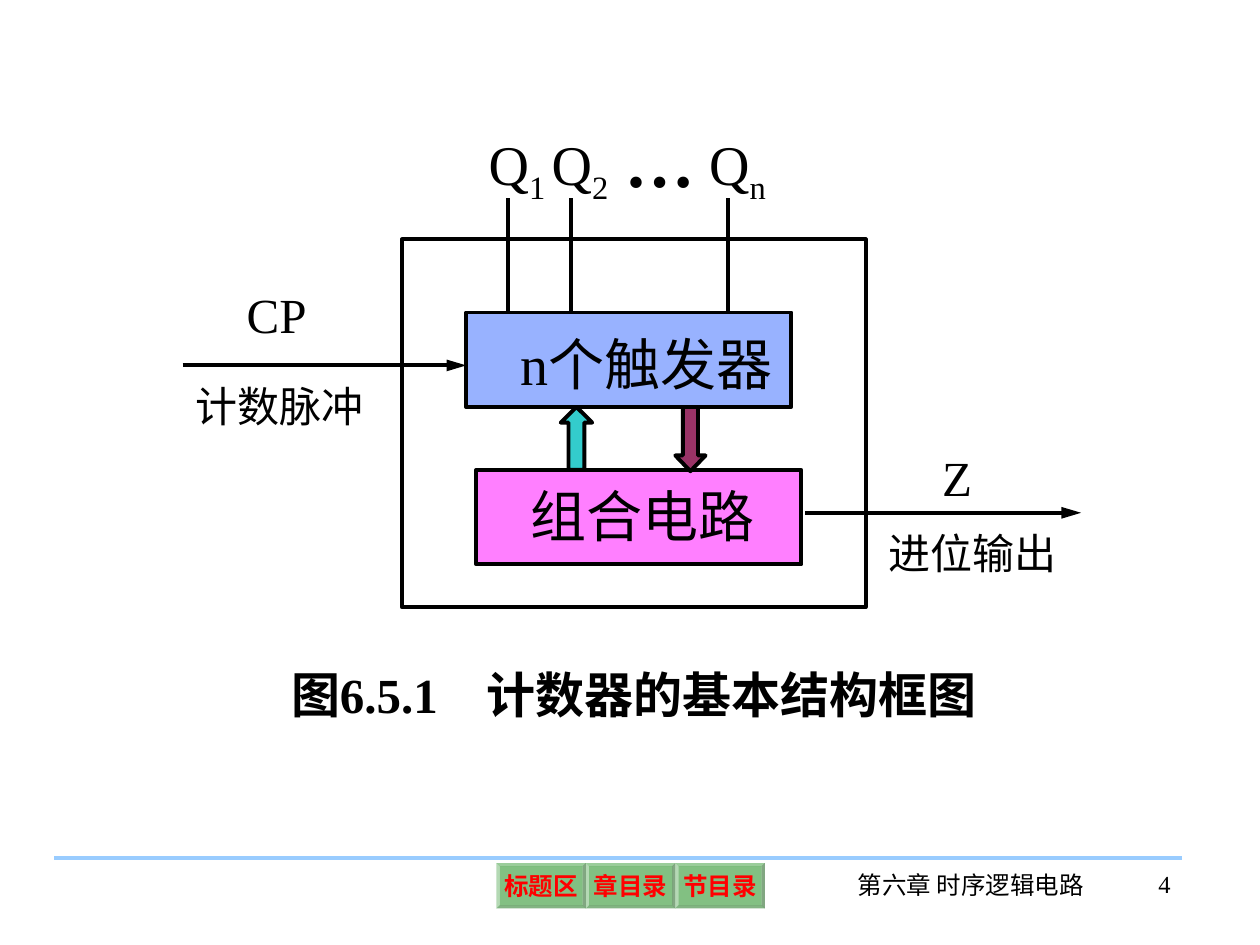
from lxml.etree import SubElement
from pptx import Presentation
from pptx.dml.color import RGBColor
from pptx.enum.shapes import MSO_CONNECTOR, MSO_SHAPE
from pptx.enum.text import MSO_ANCHOR, MSO_AUTO_SIZE, PP_ALIGN
from pptx.oxml.ns import qn
from pptx.util import Inches, Pt

WIDTH, HEIGHT = 10, 7.5
FONT, INK = "Times New Roman", "000000"
LEFT, CENTER, RIGHT = PP_ALIGN.LEFT, PP_ALIGN.CENTER, PP_ALIGN.RIGHT
TOP, MIDDLE = MSO_ANCHOR.TOP, MSO_ANCHOR.MIDDLE

CAPTION = ("图6.5.1　计数器的基本结构框图", (2.21, 5.22, 5.84, 0.57))
BLOCKS = [
    (MSO_SHAPE.RECTANGLE, (3.78, 3.73, 2.58, 0.75), "FF00FF", 50, None),
    (MSO_SHAPE.RECTANGLE, (3.7, 2.48, 2.58, 0.75), "3366FF", 50, None),
    (MSO_SHAPE.RECTANGLE, (3.19, 1.9, 3.68, 2.92), None, 100, None),
    (MSO_SHAPE.UP_ARROW, (4.45, 3.23, 0.25, 0.5), "33CCCC", 100, 0.5),
    (MSO_SHAPE.DOWN_ARROW, (5.36, 3.23, 0.24, 0.51), "993366", 100, 0.52),
]
SIGNALS = [(1.45, 2.9, 3.7), (6.39, 4.07, 8.58)]
OUTPUTS = [("1", 4.03), ("2", 4.53), ("n", 5.78)]
OUTPUT_TOP, OUTPUT_BOTTOM = 1.57, 2.48
LABELS = [
    ("n个触发器", (4.03, 2.57, 2.5, 0.64), 32, LEFT),
    ("组合电路", (4.11, 3.77, 2.5, 0.64), 32, LEFT),
    ("CP", (1.86, 2.21, 1.17, 0.57), 28, LEFT),
    ("计数脉冲", (1.45, 2.97, 1.65, 0.5), 24, LEFT),
    ("Z", (7.38, 3.5, 0.44, 0.57), 28, LEFT),
    ("进位输出", (6.95, 4.14, 1.65, 0.5), 24, LEFT),
    ("第六章 时序逻辑电路", (6.66, 6.86, 2.09, 0.5), 14, CENTER),
    ("4", (8.53, 6.85, 0.86, 0.5), 14, RIGHT),
]
BUTTONS = ["标题区", "章目录", "节目录"]
BUTTON_LEFT, BUTTON_TOP, BUTTON_WIDTH, BUTTON_HEIGHT = 3.94, 6.85, 0.71, 0.36


def color(value):
    return RGBColor.from_string(value)


def assign(target, values):
    for name, value in values.items():
        setattr(target, name, value)


def place(at):
    return [Inches(value) for value in at]


def write(shape, pieces, size, align=LEFT, bold=False, ink=INK, anchor=TOP, wrap=True, inset=(0.1, 0.05)):
    """Fill a shape with one paragraph and return its spans."""
    across, down = place(inset)
    frame = shape.text_frame
    assign(frame, {"word_wrap": wrap, "auto_size": MSO_AUTO_SIZE.NONE, "vertical_anchor": anchor,
                   "margin_left": across, "margin_right": across, "margin_top": down, "margin_bottom": down})
    para = frame.paragraphs[0]
    para.alignment = align
    spans = []
    for piece in pieces:
        span = para.add_run()
        span.text = piece
        assign(span.font, {"name": FONT, "size": Pt(size), "bold": bold})
        span.font.color.rgb = color(ink)
        spans.append(span)
    return spans


def add_block(page, kind, at, fill, opacity=100, adjustment=None, outlined=True):
    shape = page.shapes.add_shape(kind, *place(at))
    shape.shadow.inherit = False
    if adjustment is not None:
        shape.adjustments[0 if kind == MSO_SHAPE.BEVEL else 1] = adjustment
    if fill:
        shape.fill.solid()
        shape.fill.fore_color.rgb = color(fill)
        if opacity < 100:
            tint = shape.fill._xPr.find(".//" + qn("a:srgbClr"))
            SubElement(tint, qn("a:alpha"), val=str(opacity * 1000))
    else:
        shape.fill.background()
    if outlined:
        shape.line.color.rgb = color(INK)
        shape.line.width = Pt(2.25)
    else:
        shape.line.fill.background()
    return shape


def add_line(page, start, end, ink=INK, arrow=False):
    line = page.shapes.add_connector(MSO_CONNECTOR.STRAIGHT, *place(start + end))
    line.line.color.rgb = color(ink)
    line.line.width = Pt(2.25)
    if arrow:
        SubElement(line.line._get_or_add_ln(), qn("a:tailEnd"), type="triangle", w="med", len="lg")
    SubElement(line._element.spPr, qn("a:effectLst"))


def add_label(page, pieces, at, size, **style):
    return write(page.shapes.add_textbox(*place(at)), pieces, size, **style)


def main():
    deck = Presentation()
    assign(deck, {"slide_width": Inches(WIDTH), "slide_height": Inches(HEIGHT)})
    page = deck.slides.add_slide(deck.slide_layouts[5])

    text, at = CAPTION
    title = page.shapes.title
    assign(title, dict(zip(("left", "top", "width", "height"), place(at))))
    write(title, [text], 28, bold=True)

    add_line(page, (0.43, 6.81), (9.38, 6.81), "99CCFF")
    for block in BLOCKS:
        add_block(page, *block)
    for left, level, right in SIGNALS:
        add_line(page, (left, level), (right, level), arrow=True)
    for index, across in OUTPUTS:
        add_line(page, (across, OUTPUT_BOTTOM), (across, OUTPUT_TOP))
        spans = add_label(page, ["Q", index], (across - 0.25, 0.98, 1.17, 0.71), 32)
        spans[1]._r.get_or_add_rPr().set("baseline", "-25000")
    add_label(page, ["…"], (4.86, 0.88, 0.75, 0.77), 40, align=CENTER, bold=True, anchor=MIDDLE, wrap=False)
    for text, at, size, align in LABELS:
        add_label(page, [text], at, size, align=align)
    for column, text in enumerate(BUTTONS):
        at = (BUTTON_LEFT + column * BUTTON_WIDTH, BUTTON_TOP, BUTTON_WIDTH, BUTTON_HEIGHT)
        button = add_block(page, MSO_SHAPE.BEVEL, at, "008000", 49, 0.07, outlined=False)
        write(button, [text], 14, CENTER, True, "FF0000", MIDDLE, False, (0.04, 0.04))
    deck.save("out.pptx")


if __name__ == "__main__":
    main()
